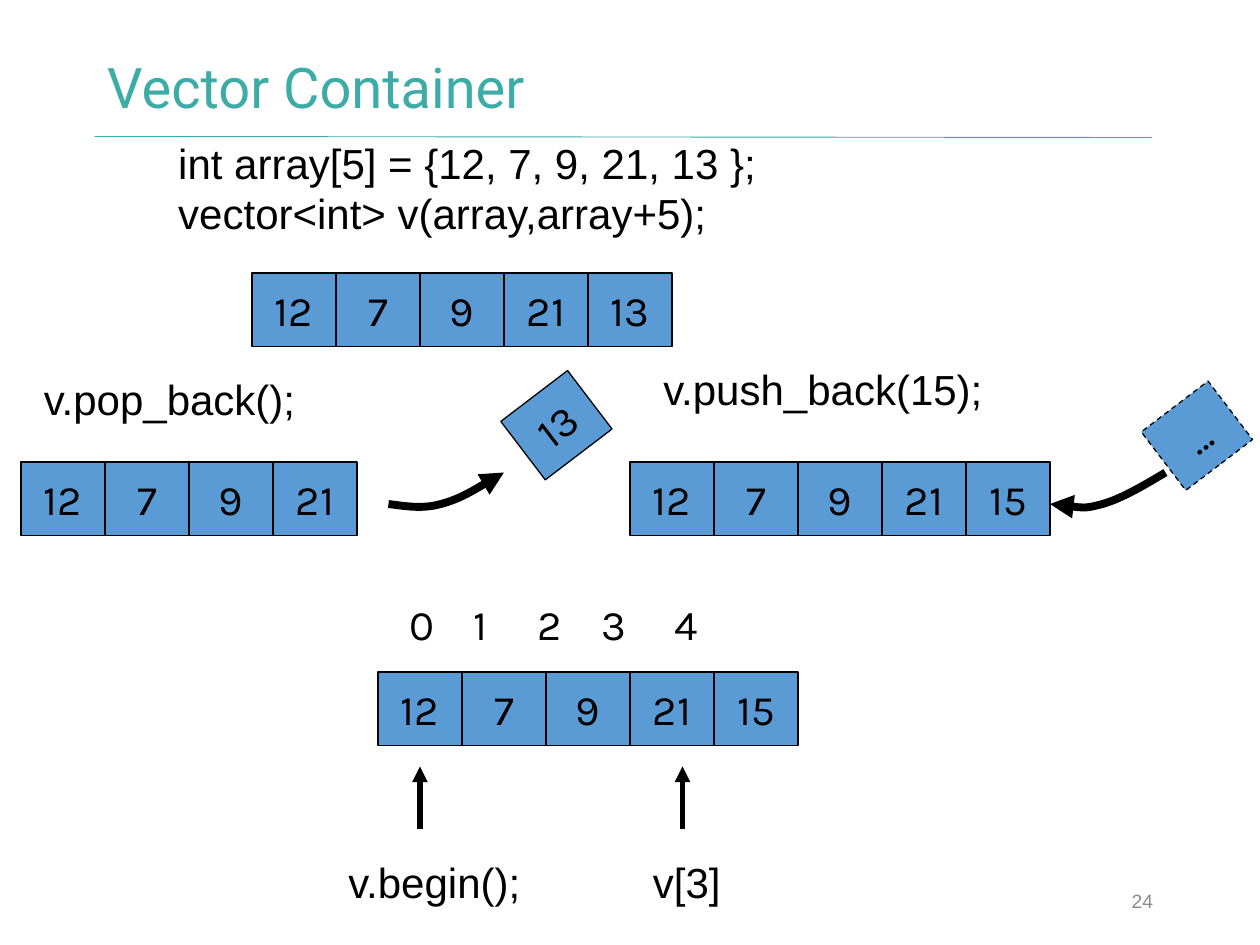
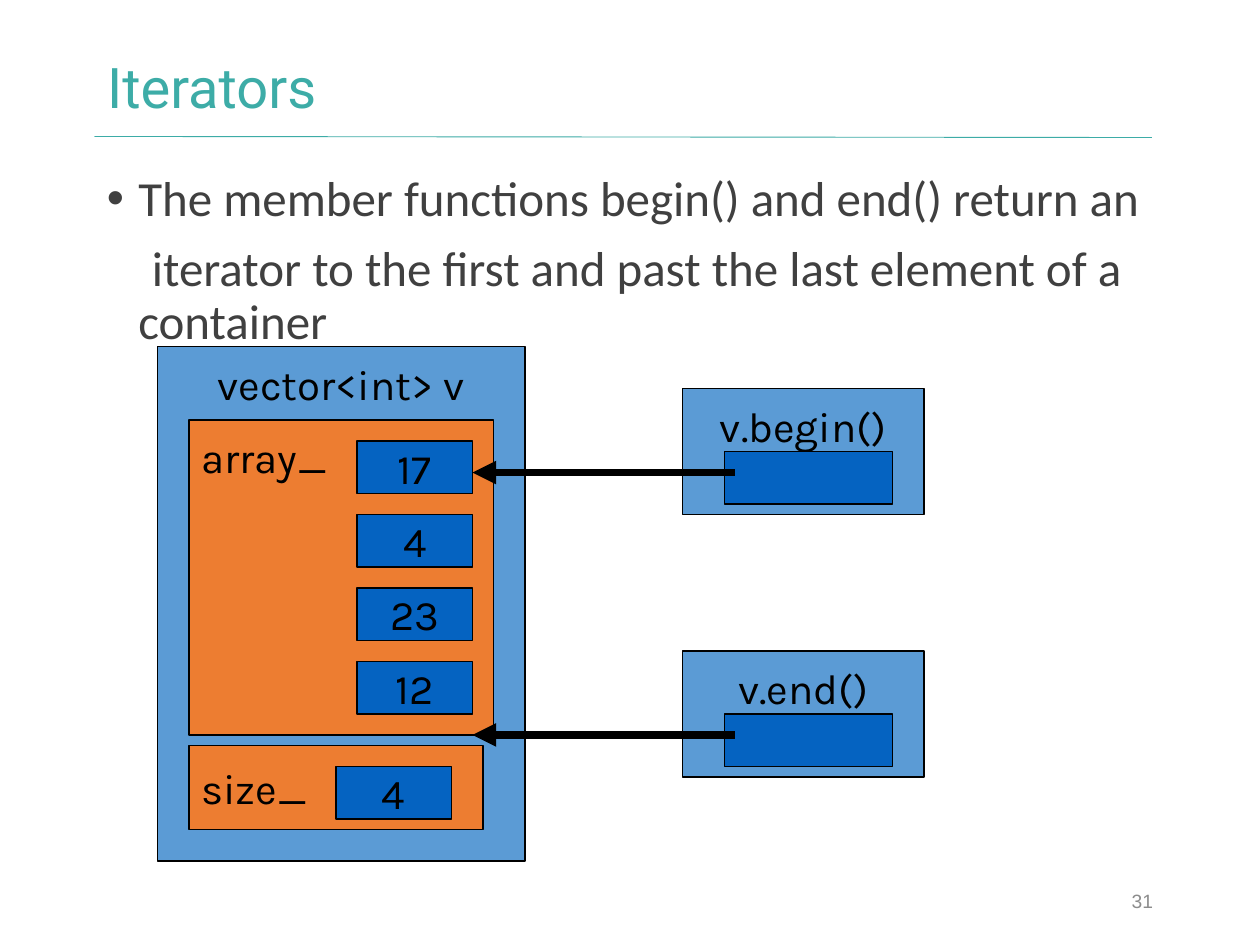
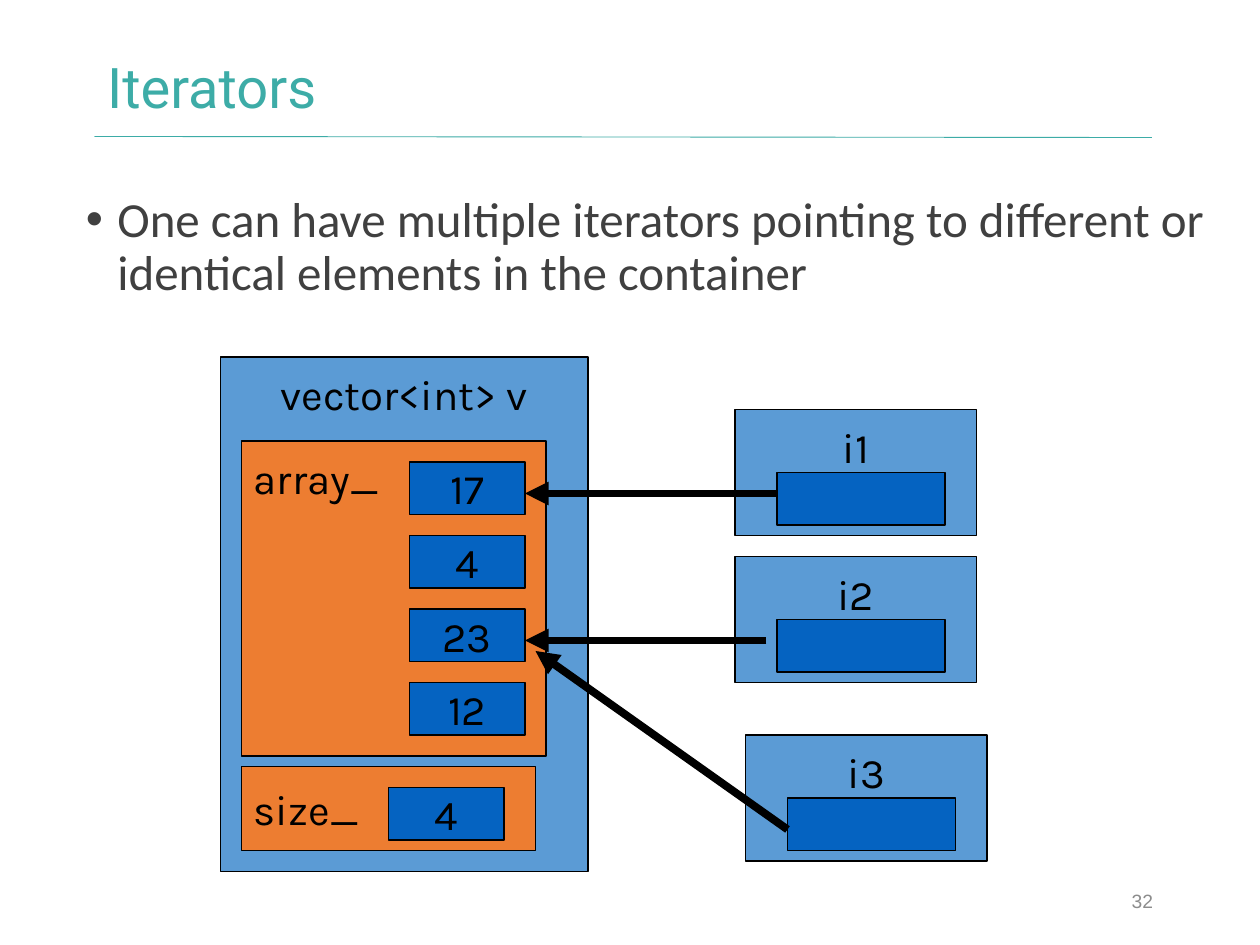
"""Build three slides on vector containers and iterators."""
from lxml import etree
from pptx import Presentation
from pptx import util as u
from pptx.dml.color import RGBColor
from pptx.enum import dml, shapes, text
from pptx.oxml.ns import qn

PX = 7620
TEAL = RGBColor(0x3D, 0xAC, 0xA7)
BLACK = RGBColor(0x00, 0x00, 0x00)
DARK_GREY = RGBColor(0x40, 0x40, 0x40)
GREY = RGBColor(0x8C, 0x8C, 0x8C)
BLUE = RGBColor(0x5B, 0x9B, 0xD5)
DEEP_BLUE = RGBColor(0x05, 0x63, 0xC1)
ORANGE = RGBColor(0xED, 0x7D, 0x31)
LEFT, CENTER, RIGHT = text.PP_ALIGN.LEFT, text.PP_ALIGN.CENTER, text.PP_ALIGN.RIGHT
TOP, MIDDLE = text.MSO_ANCHOR.TOP, text.MSO_ANCHOR.MIDDLE
STRAIGHT = shapes.MSO_CONNECTOR.STRAIGHT


def write(shape, words, font="Karla", size=24, color=BLACK, align=LEFT, anchor=TOP):
    frame = shape.text_frame
    frame.text = words
    frame.word_wrap = True
    frame.auto_size = text.MSO_AUTO_SIZE.NONE
    frame.vertical_anchor = anchor
    for paragraph in frame.paragraphs:
        paragraph.alignment = align
        for run in paragraph.runs:
            run.font.name = font
            run.font.size = u.Pt(size)
            run.font.color.rgb = color


def add_box(slide, words, left, top, width, height, fill, align=CENTER, anchor=MIDDLE):
    box = slide.shapes.add_shape(
        shapes.MSO_SHAPE.RECTANGLE, left * PX, top * PX, width * PX, height * PX)
    box.shadow.inherit = False
    box.fill.solid()
    box.fill.fore_color.rgb = fill
    box.line.color.rgb = BLACK
    box.line.width = u.Pt(0.75)
    write(box, words, align=align, anchor=anchor)
    if anchor == TOP:
        box.text_frame.margin_top = 11 * PX
    return box


presentation = Presentation()
presentation.slide_width = 1200 * PX
presentation.slide_height = 900 * PX
strokes = []

for title_words, number in [("Vector Container", "24"), ("Iterators", "31"), ("Iterators", "32")]:
    slide = presentation.slides.add_slide(presentation.slide_layouts[5])
    rule = slide.shapes.add_connector(STRAIGHT, 90 * PX, 130 * PX, 1097 * PX, 131 * PX)
    strokes.append((rule, TEAL, 0.5, None))
    title = slide.shapes.title
    title.left, title.top, title.width, title.height = 90 * PX, 42 * PX, 899 * PX, 88 * PX
    write(title, title_words, "Roboto", 32, TEAL, anchor=MIDDLE)
    title.text_frame.paragraphs[0].line_spacing = 0.9
    page = slide.shapes.add_textbox(840 * PX, 834 * PX, 270 * PX, 48 * PX)
    write(page, number, "Arial", 11, GREY, RIGHT, MIDDLE)

vector_slide, *iterator_slides = presentation.slides

for left, top, values in [
    (240, 260, (12, 7, 9, 21, 13)),
    (20, 440, (12, 7, 9, 21)),
    (600, 440, (12, 7, 9, 21, 15)),
    (360, 640, (12, 7, 9, 21, 15)),
]:
    for index, value in enumerate(values):
        add_box(vector_slide, str(value), left + 80 * index, top, 80, 70, BLUE)

popped = add_box(vector_slide, "13", 490, 370, 80, 70, BLUE)
pushed = add_box(vector_slide, "…", 1100, 380, 80, 70, BLUE)
popped.rotation = pushed.rotation = 322.7
pushed.line.dash_style = dml.MSO_LINE.DASH

for words, font, left, top, width, height in [
    ("int array[5] = {12, 7, 9, 21, 13 };\nvector<int> v(array,array+5);", "Arial", 158, 125, 574, 108),
    ("v.pop_back();", "Arial", 30, 350, 266, 60),
    ("v.push_back(15);", "Arial", 620, 340, 331, 60),
    ("v.begin();", "Arial", 320, 810, 191, 60),
    ("v[3]", "Arial", 610, 810, 89, 60),
    ("0\t1\t2\t3\t4", "Karla", 378, 564, 359, 60),
]:
    label = vector_slide.shapes.add_textbox(left * PX, top * PX, width * PX, height * PX)
    write(label, words, font)
    label.text_frame.margin_right = 0

properties = label.element.find(".//" + qn("a:p")).get_or_add_pPr()
tab_list = etree.SubElement(properties, qn("a:tabLst"))
for position in (61, 122, 183, 253):
    etree.SubElement(tab_list, qn("a:tab"), pos=str(position * PX), algn="l")

for shift, end in [(0, "tailEnd"), (630, "headEnd")]:
    points = [(386, 482), (402, 485), (420, 480), (438, 475), (460, 462), (480, 450)]
    builder = vector_slide.shapes.build_freeform(370 + shift, 480, scale=PX)
    builder.add_line_segments([(x + shift, y) for x, y in points], close=False)
    arc = builder.convert_to_shape()
    arc.fill.background()
    outline = arc.element.find(".//" + qn("a:path"))
    segments = outline.findall(qn("a:lnTo"))
    for start in (0, 3):
        curve = etree.SubElement(outline, qn("a:cubicBezTo"))
        for segment in segments[start:start + 3]:
            curve.append(segment[0])
            outline.remove(segment)
    strokes.append((arc, BLACK, 4.5, end))

for x in (400, 650):
    pointer = vector_slide.shapes.add_connector(STRAIGHT, x * PX, 790 * PX, x * PX, 730 * PX)
    strokes.append((pointer, BLACK, 3, "tailEnd"))

diagrams = [
    (
        "The member functions begin() and end() return an\n"
        "iterator to the first and past the last element of a container",
        (90, 160, 1020, 540), (150, 330), (180, 400),
        [("v.end()", 650, 620, (700, 700, 450, 700)),
         ("v.begin()", 650, 370, (700, 450, 450, 450))],
    ),
    (
        "One can have multiple iterators pointing to different or identical elements in the container",
        (70, 180, 1105, 625), (210, 340), (230, 420),
        [("i3", 710, 700, (750, 790, 510, 620)),
         ("i1", 700, 390, (740, 470, 500, 470)),
         ("i2", 700, 530, (730, 610, 500, 610))],
    ),
]
for slide, (words, body_box, vector_corner, array_corner, iterators) in zip(iterator_slides, diagrams):
    body = slide.shapes.add_textbox(*[length * PX for length in body_box])
    write(body, words, "Calibri", 28, DARK_GREY)
    for index, paragraph in enumerate(body.text_frame.paragraphs):
        paragraph.line_spacing = 0.9
        paragraph.space_before = u.Pt(10)
        properties = body.element.findall(".//" + qn("a:p"))[index].get_or_add_pPr()
        properties.set("marL", str(30 * PX))
        properties.set("indent", str((13 if index else -30) * PX))
        if index == 0:
            etree.SubElement(properties, qn("a:buFont"), typeface="Arial")
            etree.SubElement(properties, qn("a:buChar"), char="•")

    left, top = array_corner
    add_box(slide, "vector<int> v", *vector_corner, 350, 490, BLUE, anchor=TOP)
    add_box(slide, "array_", left, top, 290, 300, ORANGE, LEFT, TOP)
    for row, value in enumerate((17, 4, 23, 12)):
        add_box(slide, str(value), left + 160, top + 20 + 70 * row, 110, 50, DEEP_BLUE)
    add_box(slide, "size_", left, top + 310, 280, 80, ORANGE, LEFT)
    add_box(slide, "4", left + 140, top + 330, 110, 50, DEEP_BLUE)

    for name, left, top, ends in iterators:
        add_box(slide, name, left, top, 230, 120, BLUE, anchor=TOP)
        add_box(slide, "", left + 40, top + 60, 160, 50, DEEP_BLUE)
        pointer = slide.shapes.add_connector(STRAIGHT, *[length * PX for length in ends])
        strokes.append((pointer, BLACK, 4.5, "tailEnd"))

for stroke, color, width, end in strokes:
    stroke.line.color.rgb = color
    stroke.line.width = u.Pt(width)
    if end:
        line = stroke.element.spPr.find(qn("a:ln"))
        etree.SubElement(line, qn("a:" + end), type="triangle")
    etree.SubElement(stroke.element.spPr, qn("a:effectLst"))

presentation.save("out.pptx")
